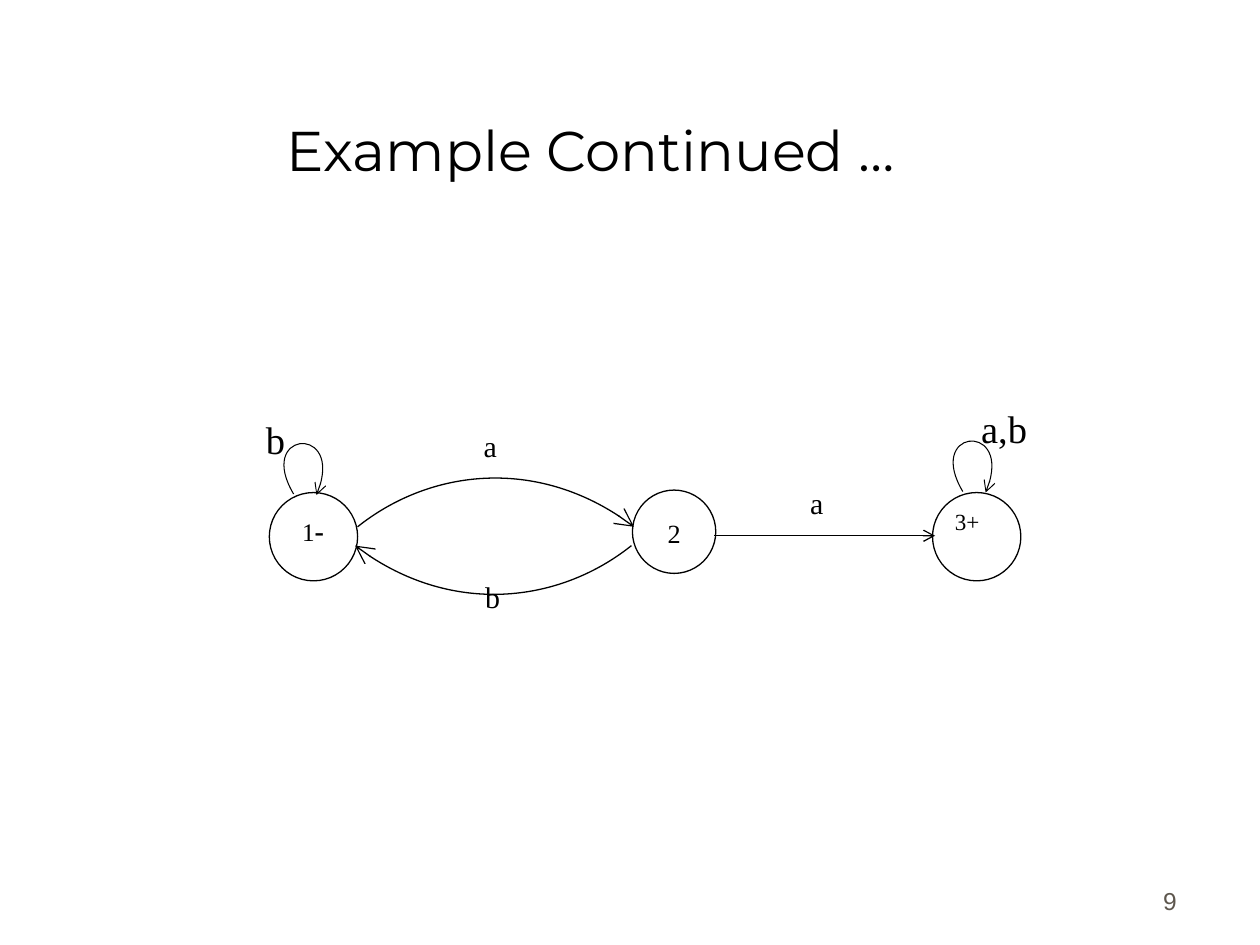
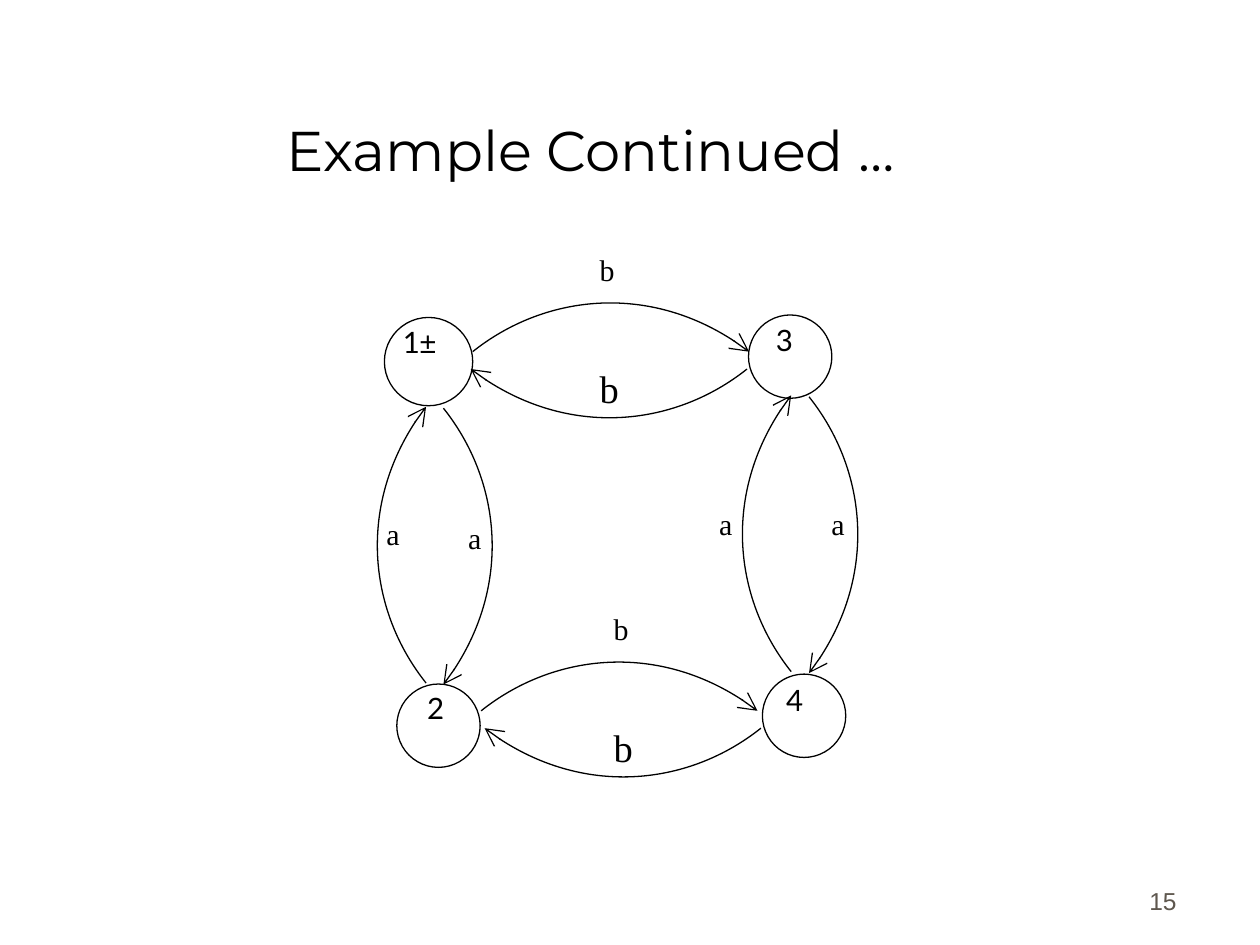
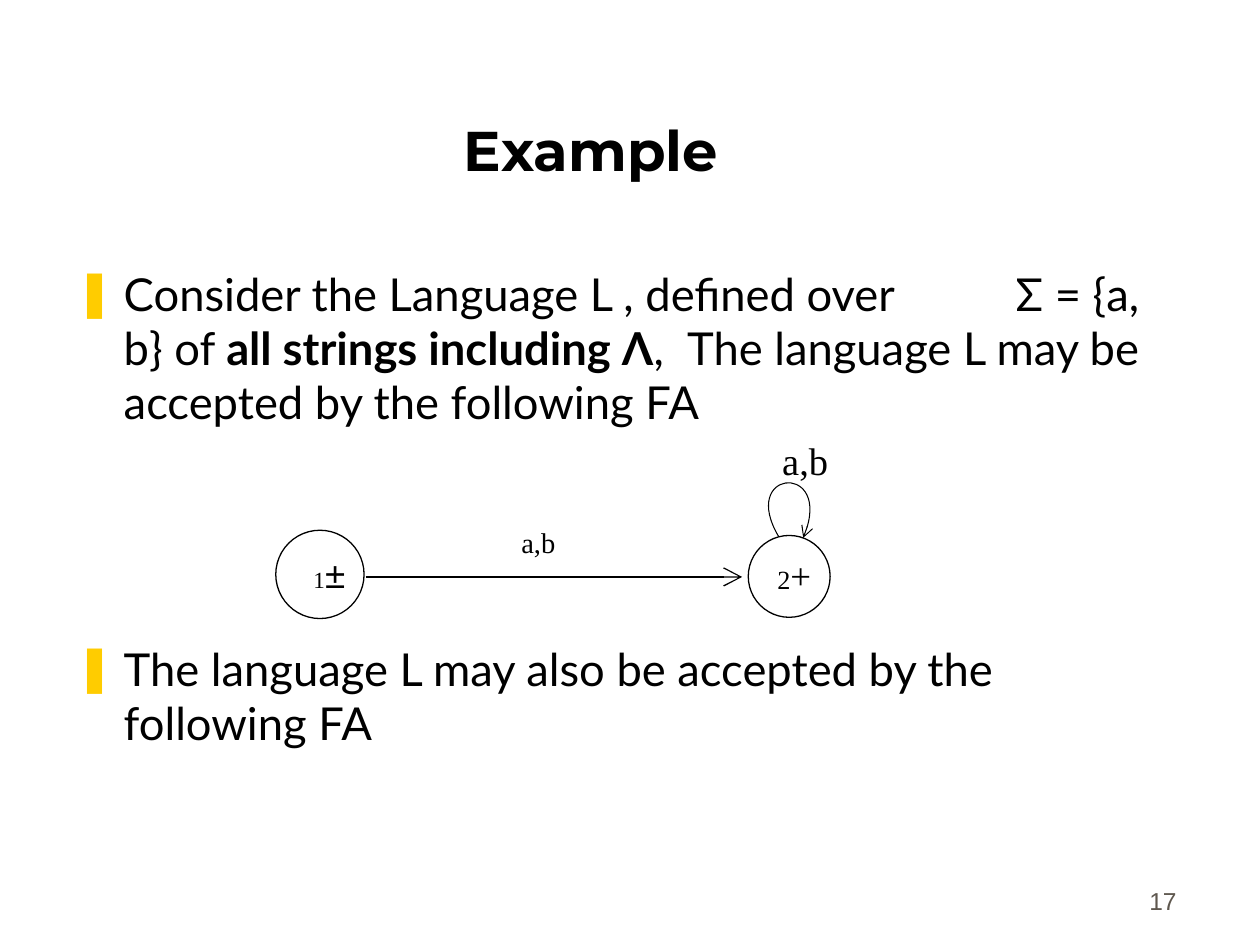
from dataclasses import dataclass

from lxml.etree import SubElement
from pptx import Presentation
from pptx.dml.color import RGBColor as RGB
from pptx.enum.shapes import MSO_CONNECTOR as CONNECTOR, MSO_SHAPE as SHAPE
from pptx.enum.text import MSO_ANCHOR as ANCHOR, MSO_AUTO_SIZE as AUTO, PP_ALIGN as ALIGN
from pptx.oxml.ns import qn
from pptx.util import Cm, Pt


@dataclass(frozen=True)
class Theme:
    """Colours, fonts, type sizes and line widths of the deck."""
    ink: RGB = RGB(0, 0, 0)
    paper: RGB = RGB(255, 255, 255)
    muted: RGB = RGB(0x5E, 0x57, 0x4E)
    accent: str = "FFCC00"
    title_font: str = "Montserrat"
    body_font: str = "Lato"
    serif: str = "Times New Roman"
    sans: str = "Arial"
    title: float = 32
    body: float = 25.9
    page: float = 14
    loop: float = 22
    edge: float = 17.1
    edge_small: float = 16.3
    state: float = 16.8
    digit: float = 15
    digit_mid: float = 14.4
    digit_small: float = 13.2
    sign: float = 21
    minus: float = 16.1
    line: float = 0.75
    thin: float = 0.6


T = Theme()
TITLE_ONLY, TITLE_AND_BODY = 5, 1
RIGHT, LEFT, UP, DOWN = (1, 0), (-1, 0), (0, -1), (0, 1)
ARC = [(0, 0), (1.43, 1.14), (3.73, 1.42), (5.57, 0)]
LOOP = [(0, 0), (-0.74, -1.24), (1.07, -1.42), (0.46, 0.02)]
BIG, SMALL = 1.78, 1.68


def place(shape, left, top, width, height):
    """Move and size a shape, in centimetres."""
    shape.left, shape.top = Cm(left), Cm(top)
    shape.width, shape.height = Cm(width), Cm(height)


def style(r, size, font, bold=False, color=T.ink):
    """Format one run."""
    r.font.size, r.font.name, r.font.bold = Pt(size), font, bold
    r.font.color.rgb = color


def add_run(p, text, *look):
    """Append a formatted run to a paragraph."""
    r = p.add_run()
    r.text = text
    style(r, *look)


def add_page(prs, layout, title, number, bold=False):
    """Add a slide with its title and page number."""
    s = prs.slides.add_slide(prs.slide_layouts[layout])
    place(s.shapes.title, 1.12, 0.64, 21.59, 3.18)
    tf = s.shapes.title.text_frame
    tf.text = title
    tf.auto_size, tf.vertical_anchor = AUTO.NONE, ANCHOR.BOTTOM
    tf.paragraphs[0].alignment = ALIGN.CENTER
    style(tf.paragraphs[0].runs[0], T.title, T.title_font, bold)

    tf = s.shapes.add_textbox(Cm(18.69), Cm(17.3), Cm(5.28), Cm(1.27)).text_frame
    tf.word_wrap, tf.vertical_anchor = True, ANCHOR.BOTTOM
    p = tf.paragraphs[0]
    p.text = number
    p.alignment, p.space_before = ALIGN.RIGHT, Pt(8.8)
    style(p.runs[0], T.page, T.sans, color=T.muted)
    return s


def add_bullets(s, items):
    """Fill the body placeholder from (space before, runs) items."""
    body = s.placeholders[1]
    place(body, 1.27, 5.23, 22.71, 11.58)
    tf = body.text_frame
    tf.auto_size = AUTO.NONE
    for i, (gap, runs) in enumerate(items):
        p = tf.add_paragraph() if i else tf.paragraphs[0]
        p.space_before = Pt(gap)
        for text, bold in runs:
            add_run(p, text, T.body, T.body_font, bold)
        pPr = p._p.get_or_add_pPr()
        pPr.set("marL", str(Cm(0.97)))
        pPr.set("indent", str(-Cm(0.97)))
        SubElement(SubElement(pPr, qn("a:buClr")), qn("a:srgbClr"), val=T.accent)
        SubElement(pPr, qn("a:buChar"), char="❚")
        tabs = SubElement(pPr, qn("a:tabLst"))
        SubElement(tabs, qn("a:tab"), pos=str(Cm(18.95)), algn="l")


def add_label(s, x, y, *runs, spacing=0.8):
    """Add a one-line text from (text, size, font, bold) runs."""
    tf = s.shapes.add_textbox(Cm(x), Cm(y), Cm(2.2), Cm(1)).text_frame
    tf.word_wrap = True
    p = tf.paragraphs[0]
    p.line_spacing = spacing
    for r in runs:
        add_run(p, *r)


def add_edge_labels(s, size, places, spacing=0.8):
    """Add serif transition labels of one size."""
    for text, x, y in places:
        add_label(s, x, y, (text, size, T.serif), spacing=spacing)


def add_state(s, x, y, diameter):
    """Draw a state circle around a centre."""
    sp = s.shapes.add_shape(SHAPE.OVAL, 0, 0, 0, 0)
    place(sp, x - diameter / 2, y - diameter / 2, diameter, diameter)
    sp.shadow.inherit = False
    sp.fill.solid()
    sp.fill.fore_color.rgb = T.paper
    sp.line.color.rgb, sp.line.width = T.ink, Pt(T.line)


def draw_arrow(sp, width, head):
    """Give a line its ink, width and open arrowhead."""
    sp.line.color.rgb, sp.line.width = T.ink, Pt(width)
    ln = sp._element.spPr.find(qn("a:ln"))
    SubElement(ln, qn("a:tailEnd"), type="arrow", w=head, len=head)


def add_curve(s, points, width, head):
    """Draw one Bézier arrow through start, two controls and end."""
    start, *rest = [(Cm(x), Cm(y)) for x, y in points]
    builder = s.shapes.build_freeform(*start)
    builder.add_line_segments(rest, close=False)
    sp = builder.convert_to_shape()
    outline = sp._element.spPr.find(".//" + qn("a:path"))
    segments = outline.findall(qn("a:lnTo"))
    bezier = SubElement(outline, qn("a:cubicBezTo"))
    for segment in segments:
        bezier.append(segment[0])
        outline.remove(segment)
    sp.fill.background()
    sp.shadow.inherit = False
    draw_arrow(sp, width, head)


def add_arc(s, x, y, direction):
    """Draw a transition that bulges to the left of its direction."""
    ux, uy = direction
    points = [(x + a * ux + b * uy, y + a * uy - b * ux) for a, b in ARC]
    add_curve(s, points, T.line, "lg")


def add_loop(s, x, y, scale=1):
    """Draw a transition from a state to itself."""
    add_curve(s, [(x + scale * a, y + scale * b) for a, b in LOOP], T.thin, "med")


def add_arrow(s, x1, x2, y, head):
    """Draw a straight horizontal transition."""
    c = s.shapes.add_connector(CONNECTOR.STRAIGHT, Cm(x1), Cm(y), Cm(x2), Cm(y))
    draw_arrow(c, T.line, head)
    SubElement(c._element.spPr, qn("a:effectLst"))


def build_three_states(prs):
    """Build the automaton with a final trap state."""
    s = add_page(prs, TITLE_ONLY, "Example Continued …", "9")
    for x, y, d in [(6.32, 10.82, BIG), (13.59, 10.72, SMALL), (19.69, 10.82, BIG)]:
        add_state(s, x, y, d)
    add_loop(s, 5.92, 9.96)
    add_loop(s, 19.41, 9.91)
    add_arc(s, 7.21, 10.62, RIGHT)
    add_arc(s, 12.73, 11, LEFT)
    add_arrow(s, 14.4, 18.85, 10.8, "med")
    add_edge_labels(s, T.loop, [("b", 5.11, 8.26), ("a,b", 19.53, 8.05)], 1)
    add_edge_labels(s, T.edge, [("a", 9.5, 8.64), ("b", 9.53, 11.68), ("a", 16.08, 9.78)])
    add_label(s, 5.84, 10.31, ("1", T.digit_mid, T.serif), ("-", T.minus, T.serif, True),
              spacing=0.9)
    add_label(s, 13.21, 10.31, ("2", T.digit, T.serif), spacing=1)
    add_label(s, 19, 10.21, ("3+", T.digit_small, T.serif))


def build_four_states(prs):
    """Build the square automaton with paired transitions."""
    s = add_page(prs, TITLE_ONLY, "Example Continued …", "15")
    for x, y, d in [(8.64, 7.29, BIG), (15.93, 7.19, SMALL),
                    (8.84, 14.63, SMALL), (16.21, 14.43, SMALL)]:
        add_state(s, x, y, d)
    for x, y, direction in [(9.53, 7.09, RIGHT), (15.06, 7.44, LEFT),
                            (9.7, 14.33, RIGHT), (15.34, 14.68, LEFT),
                            (8.59, 13.77, UP), (8.94, 8.23, DOWN),
                            (15.95, 13.54, UP), (16.31, 8, DOWN)]:
        add_arc(s, x, y, direction)
    add_edge_labels(s, T.loop, [("b", 11.84, 7.34), ("b", 12.12, 14.58)], 0.9)
    add_edge_labels(s, T.edge, [("b", 11.84, 5.08), ("b", 12.12, 12.32),
                                ("a", 7.54, 10.41), ("a", 9.19, 10.49),
                                ("a", 14.25, 10.21), ("a", 16.51, 10.21)])
    add_label(s, 7.87, 6.55, ("1", T.state, T.body_font), ("±", T.state, T.sans))
    for name, x, y in [("2", 8.36, 13.92), ("3", 15.39, 6.5), ("4", 15.6, 13.77)]:
        add_label(s, x, y, (name, T.state, T.body_font))


def build_all_strings(prs):
    """Build the text slide with the two-state automaton."""
    s = add_page(prs, TITLE_AND_BODY, "Example", "17", bold=True)
    add_bullets(s, [
        (7, [("Consider the Language L , defined over \tΣ = {a, b} of ", False),
             ("all strings including Λ", True),
             (",  The language L may be accepted by the following FA", False)]),
        (121, [("The language L may also be accepted by the following FA", False)]),
    ])
    add_state(s, 6.45, 11.58, BIG)
    add_state(s, 15.91, 11.62, 1.65)
    add_arrow(s, 7.37, 14.96, 11.63, "lg")
    add_loop(s, 15.7, 10.82, 1.07)
    add_edge_labels(s, T.loop, [("a,b", 15.52, 8.69)], 1)
    add_edge_labels(s, T.edge_small, [("a,b", 10.26, 10.59)])
    add_label(s, 6.07, 11, ("1", T.digit_small, T.serif), ("±", T.sign, T.sans), spacing=1)
    add_label(s, 15.42, 11.02, ("2", T.digit, T.serif), ("+", T.sign, T.serif), spacing=1)


def main():
    """Build and save the deck."""
    prs = Presentation()
    prs.slide_width, prs.slide_height = Cm(25.4), Cm(19.05)
    build_three_states(prs)
    build_four_states(prs)
    build_all_strings(prs)
    prs.save("out.pptx")


if __name__ == "__main__":
    main()
